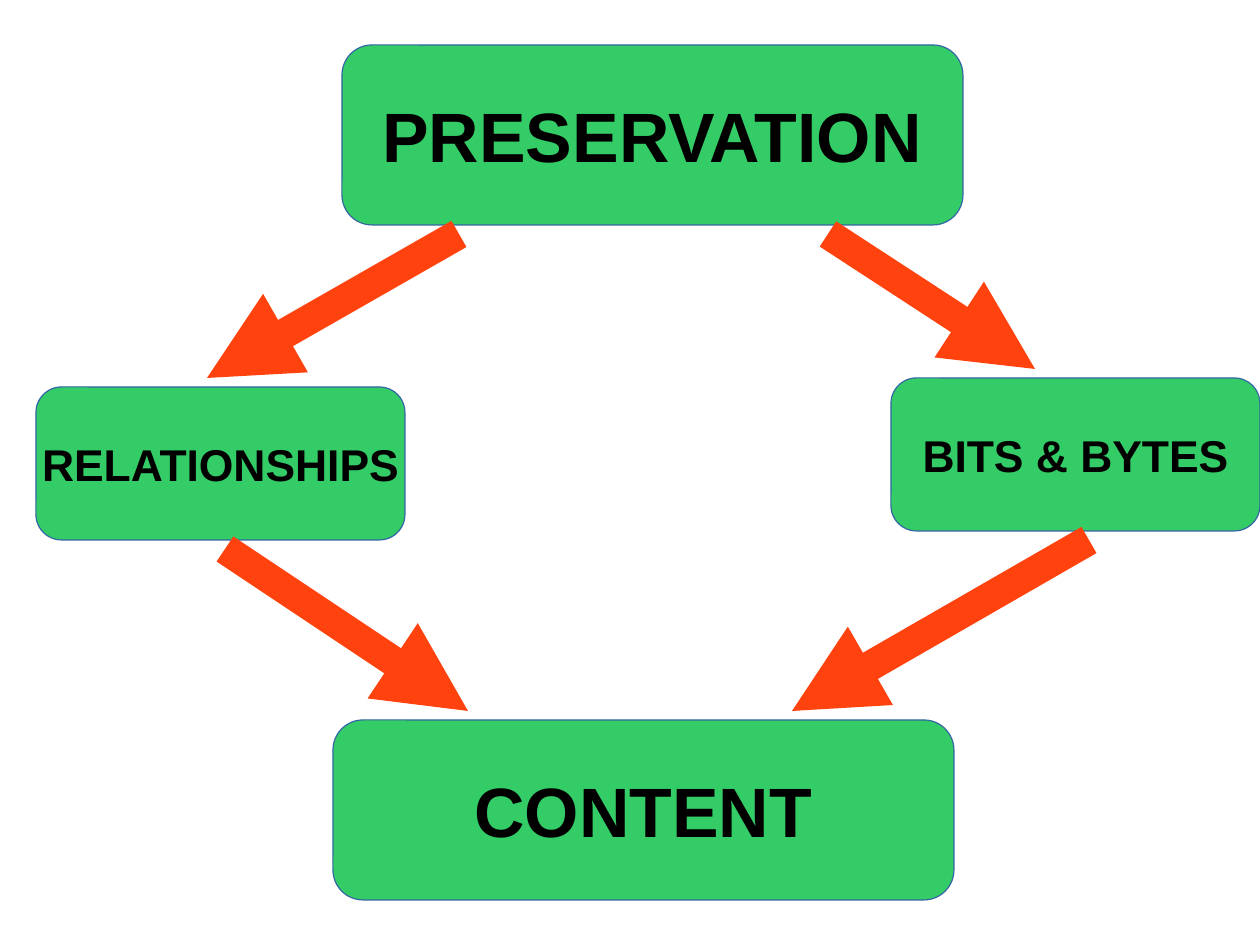
from lxml.etree import SubElement
from pptx import Presentation
from pptx.dml.color import RGBColor
from pptx.enum.shapes import MSO_CONNECTOR as Connector, MSO_SHAPE as Shape
from pptx.enum.text import MSO_ANCHOR as Anchor, PP_ALIGN as Align
from pptx.oxml.ns import qn
from pptx.util import Pt

GREEN = RGBColor(0x33, 0xCC, 0x66)
BLUE = RGBColor(0x34, 0x65, 0xA4)
ORANGE = RGBColor(0xFF, 0x42, 0x0E)
BLACK = RGBColor(0, 0, 0)

# Width, height and text size of the two box kinds
LARGE = (391.18, 113.39, 44)
SMALL = (232.44, 96.38, 28)

# Heights at which the arrows leave and reach the boxes
TOP_START = 147.4
BOTTOM_END = 447.87


class Diagram:
    font_format = {"name": "Arial", "bold": True}
    frame_format = {"word_wrap": False, "vertical_anchor": Anchor.MIDDLE}
    arrow_width = 19

    def __init__(self, slide):
        self.slide = slide

    @staticmethod
    def apply(target, values):
        for name, value in values.items():
            setattr(target, name, value)

    def box(self, text, left, top, kind):
        width, height, size = kind
        shape = self.slide.shapes.add_shape(
            Shape.ROUNDED_RECTANGLE, Pt(left), Pt(top), Pt(width), Pt(height))
        shape.shadow.inherit = False
        shape.fill.solid()
        shape.fill.fore_color.rgb = GREEN
        shape.line.color.rgb = BLUE
        shape.line.width = Pt(0)
        self.apply(shape.text_frame, self.frame_format)
        paragraph = shape.text_frame.paragraphs[0]
        paragraph.alignment = Align.CENTER
        run = paragraph.add_run()
        run.text = text
        self.apply(run.font, {**self.font_format, "size": Pt(size)})
        run.font.color.rgb = BLACK

    def arrow(self, start, end):
        connector = self.slide.shapes.add_connector(
            Connector.STRAIGHT, *(Pt(value) for value in start + end))
        connector.line.color.rgb = ORANGE
        connector.line.width = Pt(self.arrow_width)
        properties = connector.line._get_or_add_ln()
        SubElement(properties, qn("a:tailEnd"), type="triangle")
        SubElement(connector._element.spPr, qn("a:effectLst"))


def main():
    presentation = Presentation()
    presentation.slide_width = Pt(793.7)
    presentation.slide_height = Pt(595.28)
    slide = presentation.slides.add_slide(presentation.slide_layouts[6])
    diagram = Diagram(slide)

    # Boxes
    for text, left, top, kind in (
        ("PRESERVATION", 215.43, 28.35, LARGE),
        ("BITS & BYTES", 561.26, 238.11, SMALL),
        ("RELATIONSHIPS", 22.68, 243.78, SMALL),
        ("CONTENT", 209.76, 453.54, LARGE),
    ):
        diagram.box(text, left, top, kind)

    # Arrows from the top box to the sides, and from the sides to the bottom
    for start, end in (
        ((289.13, TOP_START), (130.39, 238.11)),
        ((685.98, 340.16), (498.9, BOTTOM_END)),
        ((521.57, TOP_START), (651.97, 232.44)),
        ((141.73, 345.83), (294.8, BOTTOM_END)),
    ):
        diagram.arrow(start, end)

    presentation.save("out.pptx")


if __name__ == "__main__":
    main()
